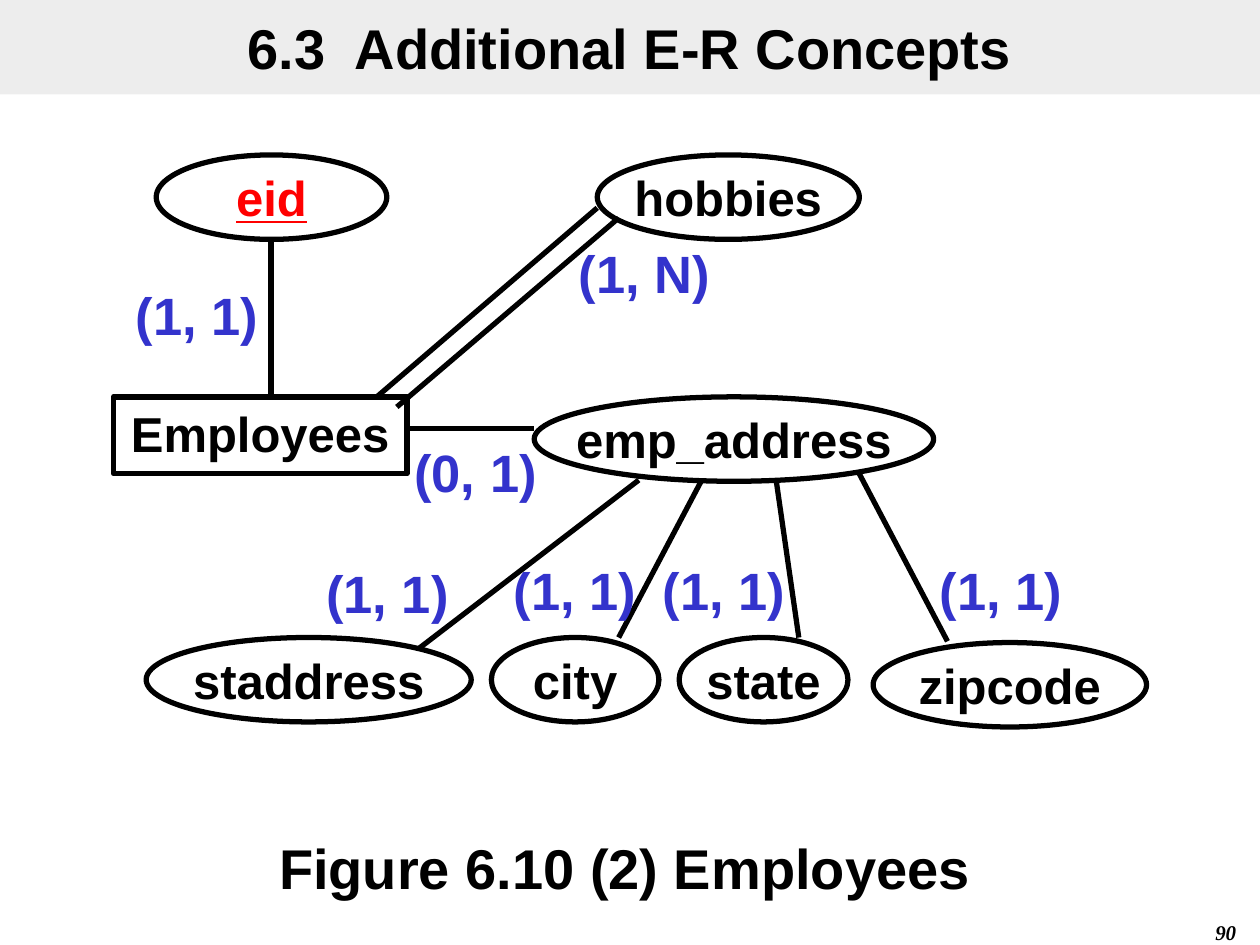
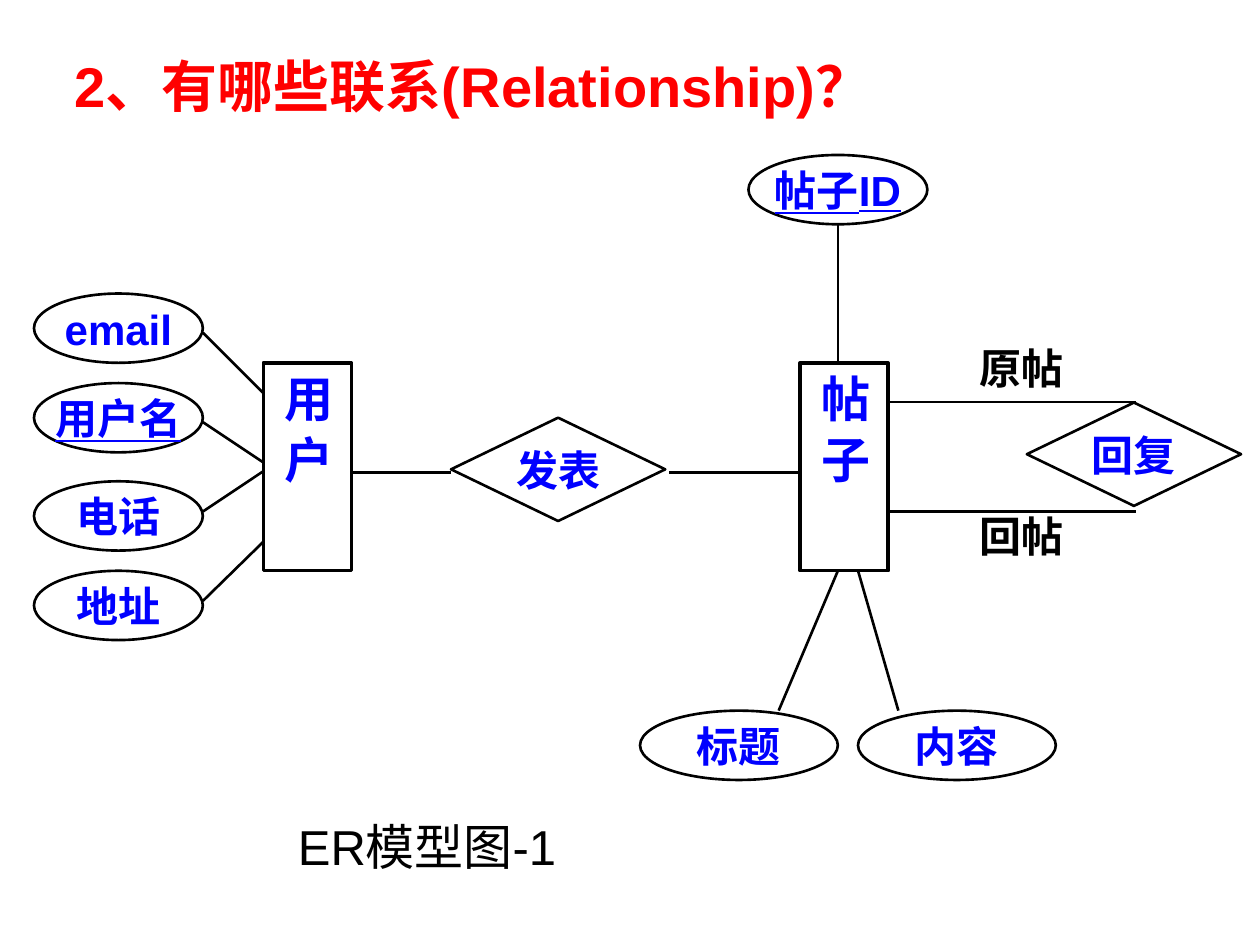
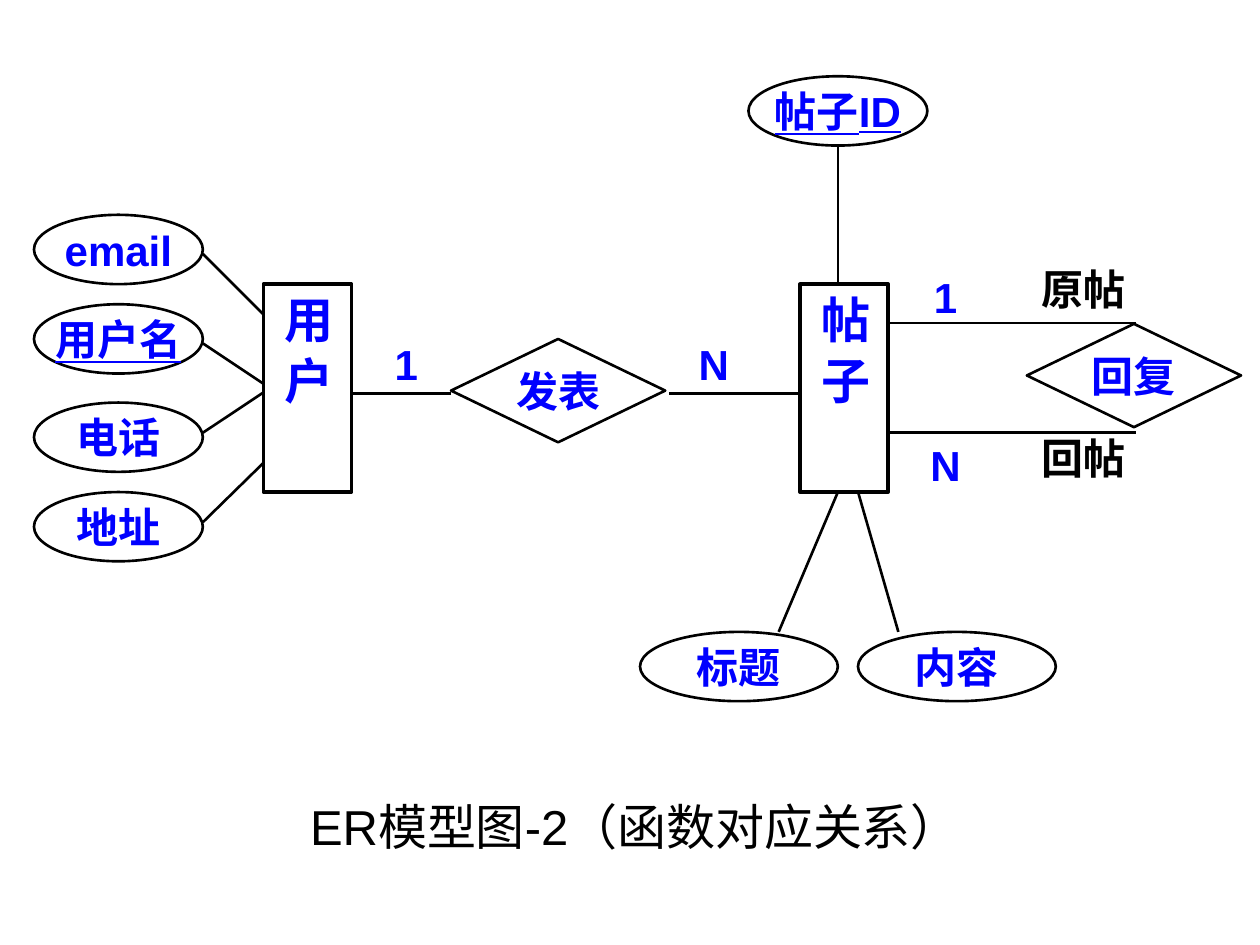
"""Builds three entity-relationship diagram slides."""
import pptx
import pptx.util
import pptx.dml.color
import pptx.enum.shapes
import pptx.enum.text
import pptx.oxml.ns
import lxml.etree

RGBColor = pptx.dml.color.RGBColor
SHAPE = pptx.enum.shapes.MSO_SHAPE
ALIGN = pptx.enum.text.PP_ALIGN
ANCHOR = pptx.enum.text.MSO_ANCHOR

BLACK = RGBColor(0, 0, 0)
WHITE = RGBColor(255, 255, 255)
RED = RGBColor(255, 0, 0)
BLUE = RGBColor(0, 0, 255)
INDIGO = RGBColor(0x33, 0x33, 0xCC)
BAND_GREY = RGBColor(0xDD, 0xDD, 0xDD)

LATIN_FONT = "Arial"
CHINESE_FONT = "Noto Sans CJK SC"
NUMBER_FONT = "Times New Roman"

COLUMNS, ROWS = 100, 75
CELL = pptx.util.Inches(0.1)
TITLE_ONLY, BLANK = 5, 6


def cells(*counts):
    """Turn counts of grid columns or rows into lengths."""
    return [pptx.util.Emu(round(count * CELL)) for count in counts]


def add_element(parent, tag, **attributes):
    """Append a drawing element to an XML parent."""
    return lxml.etree.SubElement(parent, pptx.oxml.ns.qn(tag), **attributes)


def write(shape, text, size, color=BLACK, align=ALIGN.CENTER, anchor=ANCHOR.MIDDLE,
          bold=True, italic=False, underline=False, wrap=True, font=LATIN_FONT):
    """Put one formatted paragraph in a shape."""
    frame = shape.text_frame
    frame.text = text
    frame.word_wrap = wrap
    frame.auto_size = pptx.enum.text.MSO_AUTO_SIZE.NONE
    frame.vertical_anchor = anchor
    paragraph = frame.paragraphs[0]
    paragraph.alignment = align
    for run in paragraph.runs:
        run.font.name = font
        run.font.size = pptx.util.Pt(size)
        run.font.bold = bold
        run.font.italic = italic
        run.font.underline = underline
        run.font.color.rgb = color
        add_element(run.font._element, "a:ea", typeface=CHINESE_FONT)


def set_margins(shape, horizontal, vertical):
    """Set the inner margins of a shape in cells."""
    frame = shape.text_frame
    frame.margin_left, frame.margin_right = cells(horizontal, horizontal)
    frame.margin_top, frame.margin_bottom = cells(vertical, vertical)


def add_title(slide, box, text, **style):
    """Place and format the title placeholder."""
    title = slide.shapes.title
    title.left, title.top, title.width, title.height = cells(*box)
    write(title, text, 32, **style)
    return title


def add_label(slide, box, text, size, **style):
    """Add a text box."""
    label = slide.shapes.add_textbox(*cells(*box))
    write(label, text, size, **style)
    return label


def add_outline(slide, preset, box, weight):
    """Add an unfilled shape with a black outline."""
    shape = slide.shapes.add_shape(preset, *cells(*box))
    shape.shadow.inherit = False
    shape.fill.background()
    shape.line.color.rgb = BLACK
    shape.line.width = pptx.util.Pt(weight)
    return shape


def add_attribute(slide, box, text, size, weight, **style):
    """Add the ellipse of an attribute."""
    ellipse = add_outline(slide, SHAPE.OVAL, box, weight)
    write(ellipse, text, size, wrap=False, **style)


def add_relationship(slide, left, top, text):
    """Add the diamond of a relationship."""
    diamond = add_outline(slide, SHAPE.DIAMOND, (left, top, 17, 8.2), 1.5)
    set_margins(diamond, 0, 0)
    write(diamond, text, 24, BLUE, font=CHINESE_FONT)


def add_vertical_entity(slide, left, top, text):
    """Add the tall box of an entity with vertical text."""
    entity = add_outline(slide, SHAPE.RECTANGLE, (left, top, 7, 16.5), 2)
    set_margins(entity, 1, 0.9)
    write(entity, text, 28, BLUE, align=ALIGN.LEFT, font=CHINESE_FONT)
    entity.text_frame._txBody.bodyPr.set("vert", "eaVert")


def add_line(slide, ends, weight):
    """Add a straight black line between two points."""
    line = slide.shapes.add_connector(
        pptx.enum.shapes.MSO_CONNECTOR.STRAIGHT, *cells(*ends))
    line.line.color.rgb = BLACK
    line.line.width = pptx.util.Pt(weight)
    add_element(line._element.spPr, "a:effectLst")


def add_forum_diagram(slide, top):
    """Draw users and posts, with the user box starting at the given row."""
    user_attributes = [
        ("email", -5.5, -2.4, 2.4, False),
        ("用户名", 1.6, 4.7, 7.9, True),
        ("电话", 9.4, 11.8, 8.6, False),
        ("地址", 16.5, 18.9, 14.2, False),
    ]
    for text, row, start, end, is_key in user_attributes:
        add_attribute(slide, (2.7, top + row, 13.4, 5.5), text, 24, 1.5,
                      color=BLUE, underline=is_key)
        add_line(slide, (16.1, top + start, 20.9, top + end), 1.5)

    post_attributes = [
        ("帖子ID", 59.4, -16.5, 14.2, True),
        ("标题", 50.8, 27.6, 15.7, False),
        ("内容", 68.1, 27.6, 15.7, False),
    ]
    for text, left, row, width, is_key in post_attributes:
        add_attribute(slide, (left, top + row, width, 5.5), text, 24, 1.5,
                      color=BLUE, underline=is_key)

    lines = [
        (66.5, -11, 66.5, 0), (68.1, 16.5, 71.3, 27.6), (61.8, 27.6, 66.5, 16.5),
        (28, 8.7, 35.8, 8.7), (53.1, 8.7, 63.4, 8.7),
        (70.5, 3.1, 90.2, 3.1), (70.5, 11.8, 90.2, 11.8),
    ]
    for x1, y1, x2, y2 in lines:
        add_line(slide, (x1, top + y1, x2, top + y2), 1.5)

    add_vertical_entity(slide, 20.9, top, "用 户")
    add_vertical_entity(slide, 63.5, top, "帖 子")
    add_relationship(slide, 35.8, top + 4.35, "发表")
    add_relationship(slide, 81.5, top + 3.15, "回复")


def add_roles(slide, top, align):
    """Name the two roles of a post in the reply relationship."""
    for text, row in (("原帖", -1.6), ("回帖", 11.8)):
        label = add_label(slide, (72.8, top + row, 16.5, 3.9), text, 24, align=align)
        if align == ALIGN.RIGHT:
            label.text_frame.margin_right = 0


def build_employees(presentation):
    """Build the employees diagram slide."""
    slide = presentation.slides.add_slide(presentation.slide_layouts[TITLE_ONLY])
    title = add_title(slide, (0, 0, COLUMNS, 7.5), "6.3  Additional E-R Concepts")
    title.fill.solid()
    title.fill.fore_color.rgb = BAND_GREY
    color = title._element.spPr.find(".//" + pptx.oxml.ns.qn("a:srgbClr"))
    add_element(color, "a:alpha", val="50000")

    entity = add_outline(slide, SHAPE.RECTANGLE, (9, 31.5, 23.3, 6.1), 3)
    write(entity, "Employees", 28, anchor=ANCHOR.TOP)
    add_attribute(slide, (12.4, 12.3, 18.3, 6.7), "eid", 28, 3, color=RED, underline=True)
    attributes = [
        ("hobbies", 47.4, 12.3, 20.8), ("emp_address", 42.4, 31.5, 31.7),
        ("staddress", 11.6, 50.6, 25.8), ("city", 39, 50.6, 13.3),
        ("state", 53.9, 50.6, 13.4), ("zipcode", 69.3, 51, 21.7),
    ]
    for text, left, top, width in attributes:
        add_attribute(slide, (left, top, width, 6.7), text, 28, 3)

    lines = [
        (21.5, 19, 21.5, 31.5), (42.4, 34, 32.4, 34),
        (47.4, 16.5, 29.9, 31.5), (49.1, 17.3, 31.5, 32.3),
        (50.7, 38.1, 33.2, 51.5), (55.7, 38.1, 49.1, 50.6),
        (61.6, 38.1, 63.4, 50.6), (68.2, 37.6, 75.2, 50.9),
    ]
    for ends in lines:
        add_line(slide, ends, 3)

    cardinalities = [
        ("(1, 1)", 9, 22), ("(0, 1)", 31.1, 34.4), ("(1, N)", 44.5, 18.6),
        ("(1, 1)", 24.1, 44), ("(1, 1)", 39, 43.8), ("(1, 1)", 50.8, 43.8),
        ("(1, 1)", 72.8, 43.8),
    ]
    for text, left, top in cardinalities:
        add_label(slide, (left, top, 13.3, 6.1), text, 30, color=INDIGO, anchor=ANCHOR.TOP)

    add_label(slide, (6.7, 65.7, 85.8, 6.4), "Figure 6.10 (2) Employees", 32,
              anchor=ANCHOR.TOP)
    add_label(slide, (78.3, 72.5, 20.8, 2.5), "90", 12, align=ALIGN.RIGHT,
              anchor=ANCHOR.TOP, italic=True, font=NUMBER_FONT)


def build_relationships(presentation):
    """Build the slide that asks for the relationships."""
    slide = presentation.slides.add_slide(presentation.slide_layouts[TITLE_ONLY])
    add_title(slide, (4.9, 3.6, 71.9, 6.3), "2、有哪些联系(Relationship)？",
              color=RED, align=ALIGN.LEFT, anchor=ANCHOR.TOP)
    top = 28.8
    add_forum_diagram(slide, top)
    add_roles(slide, top, ALIGN.CENTER)
    add_label(slide, (3.6, 64.3, 60.6, 5.7), "ER模型图-1", 28, bold=False,
              anchor=ANCHOR.TOP)


def build_cardinalities(presentation):
    """Build the slide that adds cardinalities to the relationships."""
    slide = presentation.slides.add_slide(presentation.slide_layouts[BLANK])
    top = 22.55
    add_forum_diagram(slide, top)
    add_roles(slide, top, ALIGN.RIGHT)
    for text, left in (("1", 29.5), ("N", 53.9)):
        add_label(slide, (left, top + 4.75, 5.5, 3.1), text, 24, color=BLUE, wrap=False)
    for text, row in (("1", -0.95), ("N", 12.35)):
        label = add_label(slide, (71.1, top + row, 7.9, 3.9), text, 24, color=BLUE)
        label.fill.solid()
        label.fill.fore_color.rgb = WHITE
    add_label(slide, (20.1, 62.7, 60.6, 5.7), "ER模型图-2（函数对应关系）", 28,
              bold=False, anchor=ANCHOR.TOP)


def main():
    """Build and save the presentation."""
    presentation = pptx.Presentation()
    presentation.slide_width, presentation.slide_height = cells(COLUMNS, ROWS)
    build_employees(presentation)
    build_relationships(presentation)
    build_cardinalities(presentation)
    presentation.save("out.pptx")


if __name__ == "__main__":
    main()
